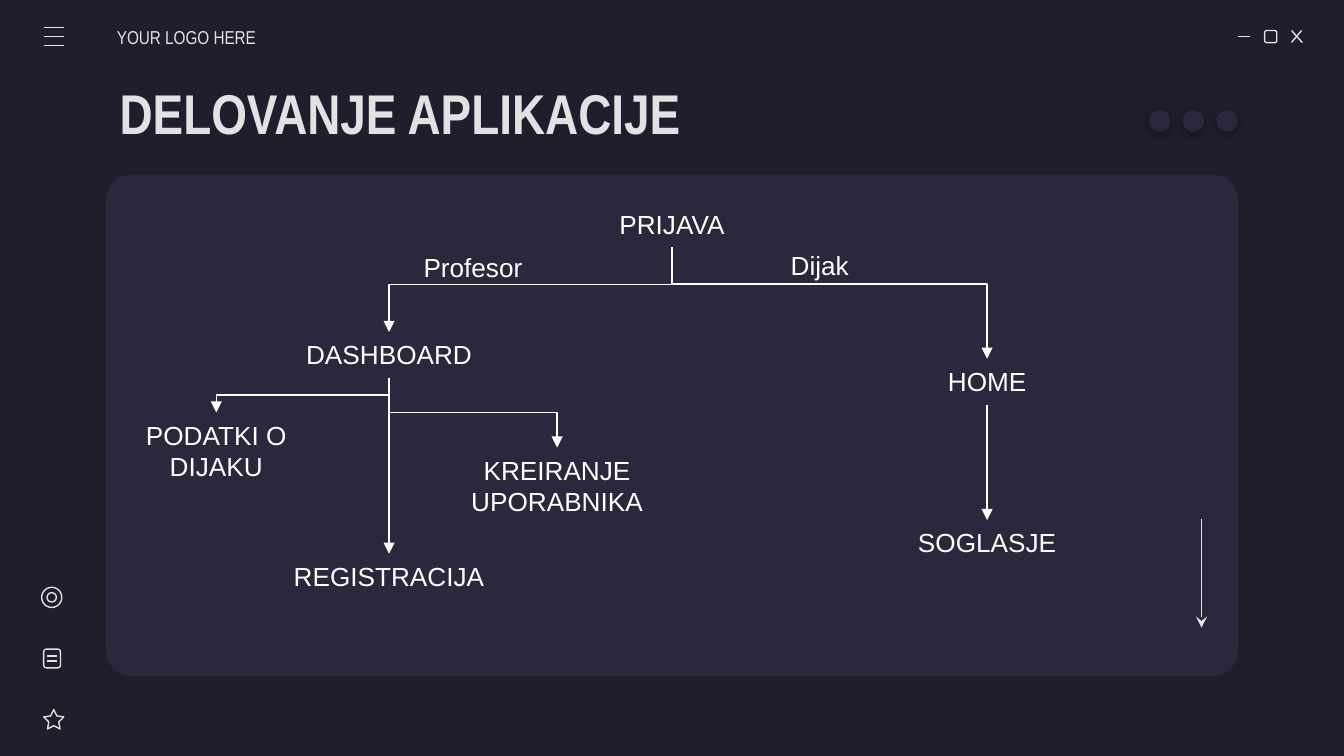
"""Builds the slide with the login flow of the application."""
import lxml.etree
import pptx
import pptx.dml.color
import pptx.enum.shapes
import pptx.enum.text
import pptx.oxml.ns
import pptx.util

COLORS = {"background": "1E1E2C", "panel": "29283D", "light": "E2E2E2",
          "white": "FFFFFF", "shade": "000000"}
COLUMNS, ROWS = 100, 56.25
SHAPES = pptx.enum.shapes.MSO_SHAPE
CONNECTORS = pptx.enum.shapes.MSO_CONNECTOR
ALIGN = pptx.enum.text.PP_ALIGN
ANCHOR = pptx.enum.text.MSO_ANCHOR

STEPS = {
    "login": ("PRIJAVA", 50, 15, 10.2),
    "dashboard": ("DASHBOARD", 28.95, 24.7, 14.5),
    "home": ("HOME", 73.45, 26.7, 7.9),
    "student": ("PODATKI O\nDIJAKU", 16.1, 30.7, 13.3),
    "user": ("KREIRANJE\nUPORABNIKA", 41.45, 33.3, 14.9),
    "registration": ("REGISTRACIJA", 28.95, 41.2, 16.3),
    "consent": ("SOGLASJE", 73.45, 38.7, 12.4),
}
ROLES = [("Profesor", 35.2, 18.2, 9.4), ("Dijak", 61, 18.1, 6.4)]
LINKS = [("login", "dashboard", 0.44), ("login", "home", 0.33),
         ("home", "consent", 0.5), ("dashboard", "user", 0.5),
         ("dashboard", "student", 0.5), ("dashboard", "registration", 0.5)]


def grid(cells):
    """Return the length of a number of grid cells, each a tenth of an inch."""
    return pptx.util.Inches(cells / 10)


def rgb(color):
    """Return the named colour."""
    return pptx.dml.color.RGBColor.from_string(COLORS[color])


def add_xml(parent, tag, **attributes):
    """Append a drawing element and return it."""
    return lxml.etree.SubElement(parent, pptx.oxml.ns.qn(tag), attributes)


def write(holder, text, size=14, font="Arial", color="white", bold=False,
          align=ALIGN.CENTER, anchor=ANCHOR.TOP, wrap=False,
          margins=(1, 0.5, 1, 0.5)):
    """Write formatted text, one paragraph per line."""
    frame = holder.text_frame
    frame.text = text
    frame.auto_size = pptx.enum.text.MSO_AUTO_SIZE.NONE
    frame.word_wrap = wrap
    frame.vertical_anchor = anchor
    (frame.margin_left, frame.margin_top,
     frame.margin_right, frame.margin_bottom) = map(grid, margins)
    for paragraph in frame.paragraphs:
        paragraph.alignment = align
        paragraph.font.size = pptx.util.Pt(size)
        paragraph.font.name = font
        paragraph.font.bold = bold
        paragraph.font.color.rgb = rgb(color)


def add_label(slide, text, center, top, width):
    """Add a centred label of the flow chart."""
    height = 3.4 + 2.3 * text.count("\n")
    box = slide.shapes.add_textbox(grid(center - width / 2), grid(top),
                                   grid(width), grid(height))
    write(box, text)


def add_figure(slide, kind, left, top, width, height, fill=None,
               adjustments=()):
    """Add a filled shape without an outline, or an outlined one without fill."""
    figure = slide.shapes.add_shape(kind, grid(left), grid(top),
                                    grid(width), grid(height))
    figure.shadow.inherit = False
    for index, value in enumerate(adjustments):
        figure.adjustments[index] = value
    if fill:
        figure.fill.solid()
        figure.fill.fore_color.rgb = rgb(fill)
        figure.line.fill.background()
    else:
        figure.fill.background()
        figure.line.color.rgb = rgb("light")
        figure.line.width = pptx.util.Pt(0.75)
    return figure


def add_line(slide, x1, y1, x2, y2, color="light", head=None,
             kind=CONNECTORS.STRAIGHT):
    """Add a thin line, with an arrowhead at its end if one is named."""
    line = slide.shapes.add_connector(kind, grid(x1), grid(y1),
                                      grid(x2), grid(y2))
    line.line.color.rgb = rgb(color)
    line.line.width = pptx.util.Pt(0.75)
    if head:
        add_xml(line.line._get_or_add_ln(), "a:tailEnd", type=head)
    add_xml(line._element.spPr, "a:effectLst")
    return line


def add_link(slide, source, target, bend):
    """Link two steps with an arrow that leaves and arrives vertically."""
    text, x1, top, _ = STEPS[source]
    y1 = top + 3.4 + 2.3 * text.count("\n")
    _, x2, y2, _ = STEPS[target]
    if x1 == x2:
        add_line(slide, x1, y1, x2, y2, "white", "triangle")
        return
    middle_x, middle_y = (x1 + x2) / 2, (y1 + y2) / 2
    half_drop, half_span = (y2 - y1) / 2, abs(x2 - x1) / 2
    side = 1 if x2 > x1 else -1
    arrow = add_line(slide, middle_x + side * half_drop, middle_y - half_span,
                     middle_x - side * half_drop, middle_y + half_span,
                     "white", "triangle", CONNECTORS.ELBOW)
    properties = arrow._element.spPr
    properties.xfrm.set("rot", str((180 + side * 90) * 60000))
    guides = properties.find(".//" + pptx.oxml.ns.qn("a:avLst"))
    add_xml(guides, "a:gd", name="adj1", fmla=f"val {round(bend * 100000)}")


def add_window_controls(slide):
    """Add the menu bars and the window buttons at the top."""
    for row in (2.05, 2.72, 3.39):
        add_line(slide, 3.25, row, 4.75, row)
    add_line(slide, 92.1, 2.72, 93, 2.72)
    add_figure(slide, SHAPES.ROUNDED_RECTANGLE, 94.1, 2.27, 0.9, 0.9)
    add_line(slide, 96.1, 2.27, 96.9, 3.17)
    add_line(slide, 96.85, 2.27, 96.1, 3.15)


def add_side_icons(slide):
    """Add the target, note and star icons at the left."""
    add_figure(slide, SHAPES.OVAL, 3.1, 43.7, 1.5, 1.5)
    add_figure(slide, SHAPES.OVAL, 3.5, 44.1, 0.7, 0.7)
    add_figure(slide, SHAPES.ROUNDED_RECTANGLE, 3.25, 48.3, 1.25, 1.4)
    for row in (48.8, 49.2):
        add_line(slide, 3.5, row, 4.25, row)
    add_figure(slide, SHAPES.STAR_5_POINT, 3.25, 52.8, 1.5, 1.45,
               adjustments=(0.25,))


def add_dots(slide):
    """Add the three shaded dots beside the title."""
    for index in range(3):
        dot = add_figure(slide, SHAPES.OVAL, 85.5 + 2.5 * index, 8.2,
                         1.6, 1.6, "panel")
        effects = dot._element.spPr.find(pptx.oxml.ns.qn("a:effectLst"))
        shadow = add_xml(effects, "a:outerShdw", blurRad="57150", dist="19050",
                         dir="5400000", algn="bl", rotWithShape="0")
        shade = add_xml(shadow, "a:srgbClr", val=COLORS["shade"])
        add_xml(shade, "a:alpha", val="30000")


def add_headings(slide):
    """Place the title and the line for the logo."""
    title = slide.shapes.title
    title.left, title.top = grid(7.9), grid(5.2)
    title.width, title.height = grid(84.3), grid(6.3)
    heading = {"font": "Arial Narrow", "color": "light", "align": ALIGN.LEFT,
               "anchor": ANCHOR.MIDDLE}
    write(title, "DELOVANJE APLIKACIJE", size=30, bold=True, wrap=True,
          margins=(1, 1, 1, 1), **heading)
    logo_line = slide.shapes.add_textbox(grid(8.7), grid(1.25),
                                         grid(11.7), grid(3))
    write(logo_line, "YOUR LOGO HERE", size=10, wrap=True,
          margins=(0, 1, 0, 1), **heading)


def main():
    """Build and save the slide."""
    deck = pptx.Presentation()
    deck.slide_width, deck.slide_height = grid(COLUMNS), grid(ROWS)
    slide = deck.slides.add_slide(deck.slide_layouts[5])
    slide.background.fill.solid()
    slide.background.fill.fore_color.rgb = rgb("background")
    add_figure(slide, SHAPES.ROUNDED_RECTANGLE, 7.9, 13, 84.2, 37.3,
               "panel", (0.05,))
    add_headings(slide)
    add_window_controls(slide)
    add_side_icons(slide)
    add_dots(slide)
    add_line(slide, 89.4, 38.6, 89.4, 46.7, head="stealth")
    for label in [*STEPS.values(), *ROLES]:
        add_label(slide, *label)
    for link in LINKS:
        add_link(slide, *link)
    deck.save("out.pptx")


if __name__ == "__main__":
    main()
